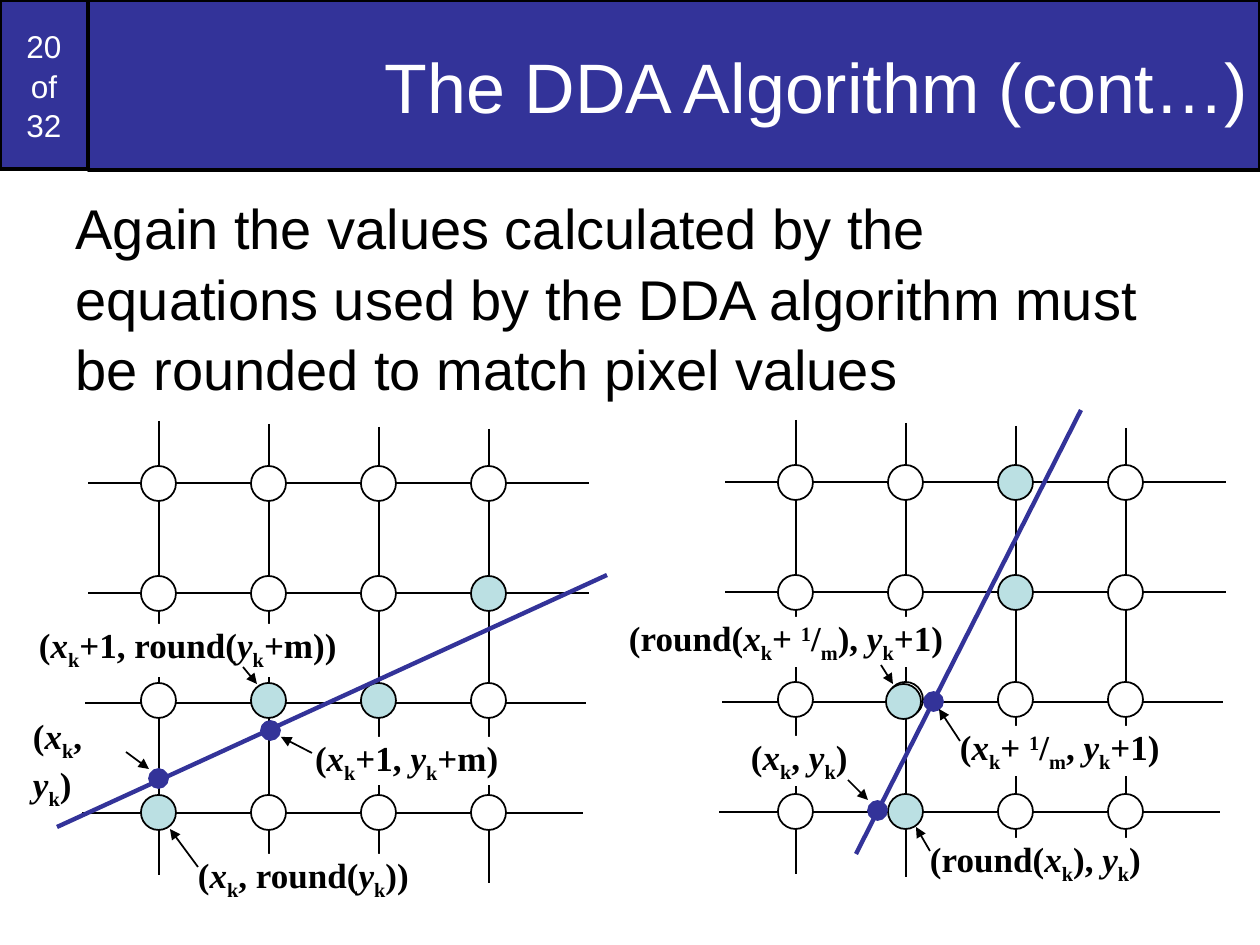
from dataclasses import dataclass
from typing import NamedTuple, Optional

from lxml import etree
from pptx import Presentation
from pptx import util as u
from pptx.dml import color
from pptx.enum import shapes, text
from pptx.oxml import ns

EMU_PER_PIXEL = 914400 / 126
NAVY, TEAL, WHITE, BLACK = "333399", "BBE0E3", "FFFFFF", "000000"
PITCH, NODE, POINT = 110, 35, 19


class Piece(NamedTuple):
    text: str
    italic: bool = False
    baseline: int = 0


class Segment(NamedTuple):
    x1: int
    y1: int
    x2: int
    y2: int


class Box(NamedTuple):
    left: int
    top: int
    width: int
    height: int


@dataclass
class Label:
    box: Box
    pieces: list[Piece]
    fill: Optional[str] = WHITE
    inset: tuple[int, int] = (0, 0)


@dataclass
class PixelGrid:
    dx: int
    dy: int
    shaded: set[tuple[int, int]]
    ideal_line: Segment
    points: list[tuple[int, int]]
    labels: list[Label]
    arrows: list[Segment]


def px(value: float) -> int:
    return round(value * EMU_PER_PIXEL)


def rgb(value: str) -> color.RGBColor:
    return color.RGBColor.from_string(value)


def place(shape, box: Box) -> None:
    shape.left, shape.top, shape.width, shape.height = map(px, box)


def paint(shape, fill: str, line: str, points: float) -> None:
    shape.fill.solid()
    shape.fill.fore_color.rgb = rgb(fill)
    shape.line.color.rgb = rgb(line)
    shape.line.width = u.Pt(points)


def add_run(paragraph, words: str, size: int, ink: str, face: str = "Arial"):
    run = paragraph.add_run()
    run.text = words
    run.font.size = u.Pt(size)
    run.font.name = face
    run.font.color.rgb = rgb(ink)
    return run


def add_block(slide, kind, box: Box, fill: str, line: str, points: float):
    shape = slide.shapes.add_shape(kind, *map(px, box))
    shape.shadow.inherit = False
    paint(shape, fill, line, points)
    return shape


def add_disc(slide, left: int, top: int, size: int, fill: str, line: str) -> None:
    add_block(slide, shapes.MSO_SHAPE.OVAL, Box(left, top, size, size), fill, line, 1)


def add_line(slide, segment: Segment, ink: str = BLACK, points: float = 1, arrow: bool = False) -> None:
    line = slide.shapes.add_connector(shapes.MSO_CONNECTOR.STRAIGHT, *map(px, segment))
    line.line.color.rgb = rgb(ink)
    line.line.width = u.Pt(points)
    if arrow:
        etree.SubElement(line.line._get_or_add_ln(), ns.qn("a:tailEnd"), type="triangle")
    etree.SubElement(line._element.spPr, ns.qn("a:effectLst"))


def add_label(slide, label: Label) -> None:
    caption = slide.shapes.add_textbox(*map(px, label.box))
    if label.fill:
        caption.fill.solid()
        caption.fill.fore_color.rgb = rgb(label.fill)
    frame = caption.text_frame
    frame.word_wrap = False
    frame.margin_left = frame.margin_right = px(label.inset[0])
    frame.margin_top = frame.margin_bottom = px(label.inset[1])
    for piece in label.pieces:
        run = add_run(frame.paragraphs[0], piece.text, 20, BLACK, "Times New Roman")
        run.font.bold = True
        run.font.italic = piece.italic
        if piece.baseline:
            run._r.get_or_add_rPr().set("baseline", str(piece.baseline))


def add_grid(slide, grid: PixelGrid) -> None:
    for column, top in enumerate((421, 424, 427, 429)):
        x, y = 159 + column * PITCH + grid.dx, top + grid.dy
        add_line(slide, Segment(x, y, x, y + 454))
    for row, left in enumerate((88, 88, 85, 82)):
        x, y = left + grid.dx, 483 + row * PITCH + grid.dy
        add_line(slide, Segment(x + 501, y, x, y))
    for row, top in enumerate((466, 576, 683, 795)):
        for column in range(4):
            fill = TEAL if (column, row) in grid.shaded else WHITE
            add_disc(slide, 141 + column * PITCH + grid.dx, top + grid.dy, NODE, fill, BLACK)


def add_overlay(slide, grid: PixelGrid) -> None:
    for label in grid.labels:
        add_label(slide, label)
    add_line(slide, grid.ideal_line, NAVY, 2.5)
    for left, top in grid.points:
        add_disc(slide, left, top, POINT, NAVY, NAVY)
    for arrow in grid.arrows:
        add_line(slide, arrow, arrow=True)


SUB_K = Piece("k", baseline=-25000)
X_K = [Piece("x", True), SUB_K]
Y_K = [Piece("y", True), SUB_K]
ONE_OVER_M = [Piece("+ "), Piece("1", baseline=30000), Piece("/"), Piece("m", baseline=-25000)]
START = [Piece("("), *X_K, Piece(", "), *Y_K, Piece(")")]

shallow = PixelGrid(
    0, 0, {(3, 1), (1, 2), (2, 2), (0, 3)},
    Segment(57, 827, 607, 575),
    [(149, 769), (261, 721)],
    [
        Label(Box(20, 709, 121, 60), START, None, (13, 6)),
        Label(Box(315, 737, 184, 48), [Piece("("), *X_K, Piece("+1, "), *Y_K, Piece("+m)")]),
        Label(Box(198, 854, 212, 63), [Piece("("), *X_K, Piece(", round("), *Y_K, Piece("))")]),
        Label(Box(39, 624, 299, 53), [Piece("("), *X_K, Piece("+1, round("), *Y_K, Piece("+m))")]),
    ],
    [Segment(126, 752, 149, 769), Segment(312, 753, 281, 737),
     Segment(198, 867, 170, 829), Segment(243, 667, 257, 684)],
)
steep = PixelGrid(
    637, -1, {(2, 0), (2, 1), (1, 3)},
    Segment(1081, 410, 856, 854),
    [(868, 801), (924, 692)],
    [
        Label(Box(751, 736, 97, 50), START),
        Label(Box(960, 726, 200, 50), [Piece("("), *X_K, *ONE_OVER_M, Piece(", "), *Y_K, Piece("+1)")]),
        Label(Box(930, 838, 212, 53), [Piece("(round("), *X_K, Piece("), "), *Y_K, Piece(")")]),
        Label(Box(629, 617, 315, 50), [Piece("(round("), *X_K, *ONE_OVER_M, Piece("), "), *Y_K, Piece("+1)")]),
    ],
    [Segment(960, 741, 939, 709), Segment(930, 851, 916, 827),
     Segment(848, 780, 868, 800), Segment(881, 665, 893, 684)],
)

deck = Presentation()
deck.slide_width, deck.slide_height = u.Inches(10), u.Inches(7.5)
slide = deck.slides.add_slide(deck.slide_layouts[1])

heading = slide.shapes.title
place(heading, Box(88, 0, 1172, 170))
paint(heading, NAVY, BLACK, 2)
heading.text_frame.auto_size = text.MSO_AUTO_SIZE.NONE
heading.text_frame.vertical_anchor = text.MSO_ANCHOR.MIDDLE
heading_line = heading.text_frame.paragraphs[0]
heading_line.alignment = text.PP_ALIGN.RIGHT
add_run(heading_line, "The DDA Algorithm (cont…)", 40, WHITE)

explanation = slide.placeholders[1]
place(explanation, Box(63, 184, 1134, 221))
explanation.text_frame.auto_size = text.MSO_AUTO_SIZE.NONE
sentence = explanation.text_frame.paragraphs[0]
sentence.space_before = u.Pt(8)
sentence.line_spacing = 1.05
properties = sentence._p.get_or_add_pPr()
properties.set("marL", "0")
properties.set("indent", "0")
etree.SubElement(properties, ns.qn("a:buNone"))
add_run(sentence, "Again the values calculated by the equations used by the DDA algorithm "
        "must be rounded to match pixel values", 32, BLACK)

counter = add_block(slide, shapes.MSO_SHAPE.RECTANGLE, Box(0, 0, 88, 169), NAVY, BLACK, 2)
counter.text_frame.vertical_anchor = text.MSO_ANCHOR.MIDDLE
count = counter.text_frame.paragraphs[0]
count.alignment = text.PP_ALIGN.CENTER
count.line_spacing = 1.05
for position, word in enumerate(("20", "of", "32")):
    if position:
        count.add_line_break()
    add_run(count, word, 18, WHITE)

add_grid(slide, shallow)
add_grid(slide, steep)
add_disc(slide, 886, 684, NODE, TEAL, BLACK)
add_overlay(slide, shallow)
add_overlay(slide, steep)

deck.save("out.pptx")
